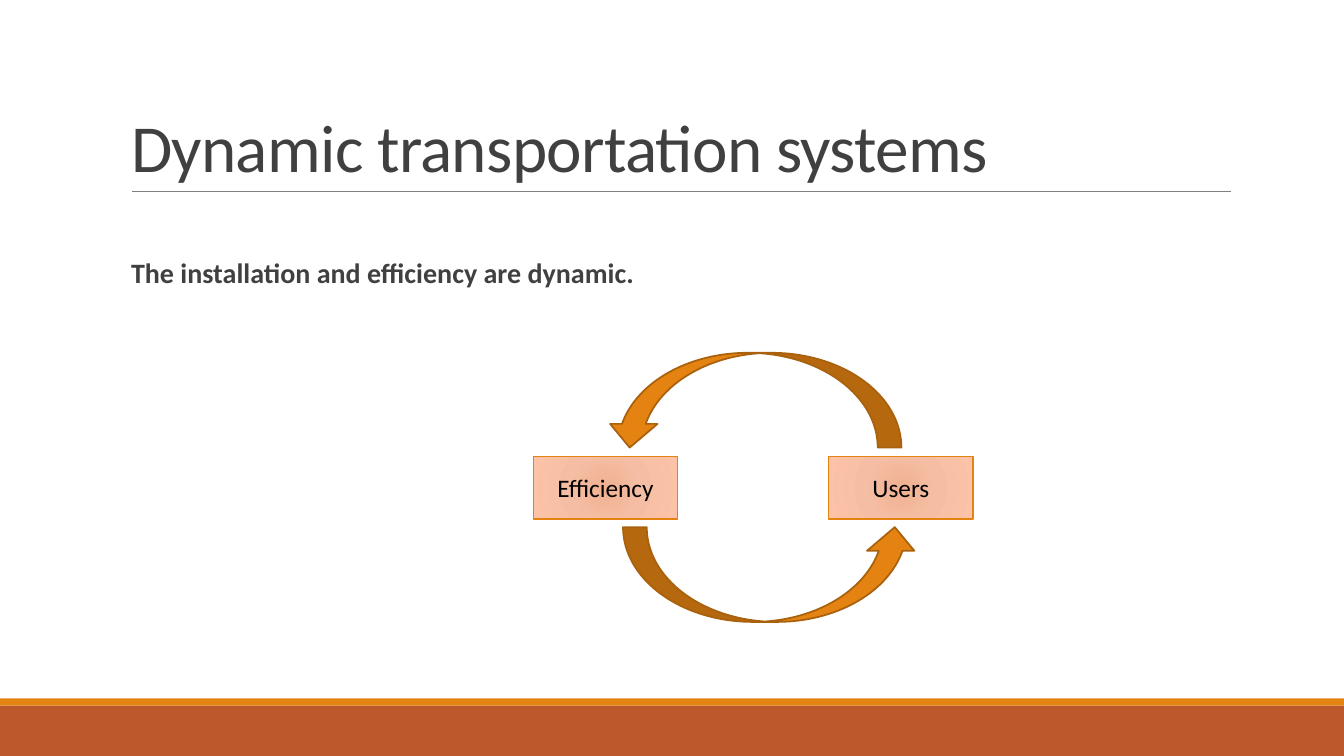
from lxml import etree
from pptx import Presentation
from pptx.dml.color import RGBColor
from pptx.enum.shapes import MSO_CONNECTOR, MSO_SHAPE
from pptx.enum.text import MSO_ANCHOR, MSO_AUTO_SIZE, PP_ALIGN
from pptx.oxml.ns import qn
from pptx.util import Inches, Pt

RECTANGLE = MSO_SHAPE.RECTANGLE
CURVED_ARROW = MSO_SHAPE.CURVED_UP_ARROW
STRAIGHT = MSO_CONNECTOR.STRAIGHT
MIDDLE, BOTTOM, TOP = MSO_ANCHOR.MIDDLE, MSO_ANCHOR.BOTTOM, MSO_ANCHOR.TOP
LEFT, CENTER = PP_ALIGN.LEFT, PP_ALIGN.CENTER
NO_AUTOFIT = MSO_AUTO_SIZE.NONE

ORANGE, RUST, BROWN = "E48312", "BD582C", "A9610D"
DARK, BLACK, GRAY = "404040", "000000", "808080"
PEACH_STOPS = [(0, "F0B191"), (45, "F5BEA4"), (100, "FDC3A8")]


def color(hex_code):
    """Return the colour for a hex string."""
    return RGBColor.from_string(hex_code)


def write_text(holder, text, size=18, ink=BLACK, bold=False, align=LEFT,
               anchor=TOP, line_spacing=1.0, indent=0, tracking=None):
    """Write one formatted paragraph into a shape or placeholder."""
    frame = holder.text_frame
    frame.auto_size = NO_AUTOFIT
    frame.word_wrap = True
    frame.vertical_anchor = anchor
    paragraph = frame.paragraphs[0]
    properties = paragraph._p.get_or_add_pPr()
    properties.set("marL", str(Inches(indent)))
    properties.set("indent", "0")
    etree.SubElement(properties, qn("a:buNone"))
    paragraph.alignment = align
    paragraph.line_spacing = line_spacing
    paragraph.space_before = Pt(0)
    run = paragraph.add_run()
    run.text = text
    run.font.name = "Calibri"
    run.font.size = Pt(size)
    run.font.bold = bold
    run.font.color.rgb = color(ink)
    if tracking is not None:
        run._r.get_or_add_rPr().set("spc", str(round(tracking * 100)))


def place(holder, left, top, width, height):
    """Move and size a placeholder."""
    holder.left, holder.top = Inches(left), Inches(top)
    holder.width, holder.height = Inches(width), Inches(height)


def add_block(slide, kind, left, top, width, height, fill, line=None, weight=1):
    """Add a flat filled preset shape."""
    block = slide.shapes.add_shape(
        kind, Inches(left), Inches(top), Inches(width), Inches(height))
    block.shadow.inherit = False
    block.fill.solid()
    block.fill.fore_color.rgb = color(fill)
    if line:
        block.line.color.rgb = color(line)
        block.line.width = Pt(weight)
    else:
        block.line.fill.background()
    return block


def apply_radial_gradient(block, stops):
    """Replace a solid fill with a gradient that spreads from the centre."""
    gradient = etree.Element(qn("a:gradFill"), rotWithShape="1")
    stop_list = etree.SubElement(gradient, qn("a:gsLst"))
    for percent, hex_code in stops:
        stop = etree.SubElement(stop_list, qn("a:gs"), pos=str(percent * 1000))
        etree.SubElement(stop, qn("a:srgbClr"), val=hex_code)
    spread = etree.SubElement(gradient, qn("a:path"), path="circle")
    etree.SubElement(spread, qn("a:fillToRect"),
                     l="50000", t="50000", r="50000", b="50000")
    properties = block._element.spPr
    properties.replace(properties.find(qn("a:solidFill")), gradient)


def add_node(slide, label, left):
    """Add a labelled box of the cycle."""
    node = add_block(slide, RECTANGLE, left, 4.53, 1.43, 0.62, PEACH_STOPS[0][1], ORANGE)
    apply_radial_gradient(node, PEACH_STOPS)
    write_text(node, label, align=CENTER, anchor=MIDDLE)


def add_cycle_arrow(slide, left, top, rotation=0):
    """Add a curved arrow between the two boxes."""
    arrow = add_block(slide, CURVED_ARROW, left, top, 2.93, 0.94, ORANGE, BROWN, 1.25)
    arrow.rotation = rotation


def add_title_rule(slide):
    """Add the thin line under the title."""
    rule = slide.shapes.add_connector(
        STRAIGHT, Inches(1.31), Inches(1.9), Inches(12.21), Inches(1.9))
    rule.line.color.rgb = color(GRAY)
    rule.line.width = Pt(0.5)
    etree.SubElement(rule._element.spPr, qn("a:effectLst"))


def main():
    """Build and save the slide."""
    deck = Presentation()
    deck.slide_width, deck.slide_height = Inches(13.33), Inches(7.5)
    slide = deck.slides.add_slide(deck.slide_layouts[1])

    add_block(slide, RECTANGLE, 0, 7, 13.33, 0.5, RUST)
    add_block(slide, RECTANGLE, 0, 6.93, 13.33, 0.07, ORANGE)
    add_title_rule(slide)

    title = slide.shapes.title
    place(title, 1.2, 0.31, 11, 1.59)
    write_text(title, "Dynamic transportation systems", size=48, ink=DARK,
               anchor=BOTTOM, line_spacing=0.85, tracking=-0.5)

    statement = slide.placeholders[1]
    place(statement, 1.2, 2.02, 11, 4.4)
    statement.text_frame.margin_left = statement.text_frame.margin_right = 0
    statement.text_frame.margin_top = Inches(0.55)
    write_text(statement, "The installation and efficiency are dynamic.", size=20,
               ink=DARK, bold=True, line_spacing=0.9, indent=0.1)

    add_node(slide, "Efficiency", 5.29)
    add_node(slide, "Users", 8.22)
    add_cycle_arrow(slide, 6.01, 3.5, rotation=180)
    add_cycle_arrow(slide, 6.18, 5.23)

    deck.save("out.pptx")


if __name__ == "__main__":
    main()
